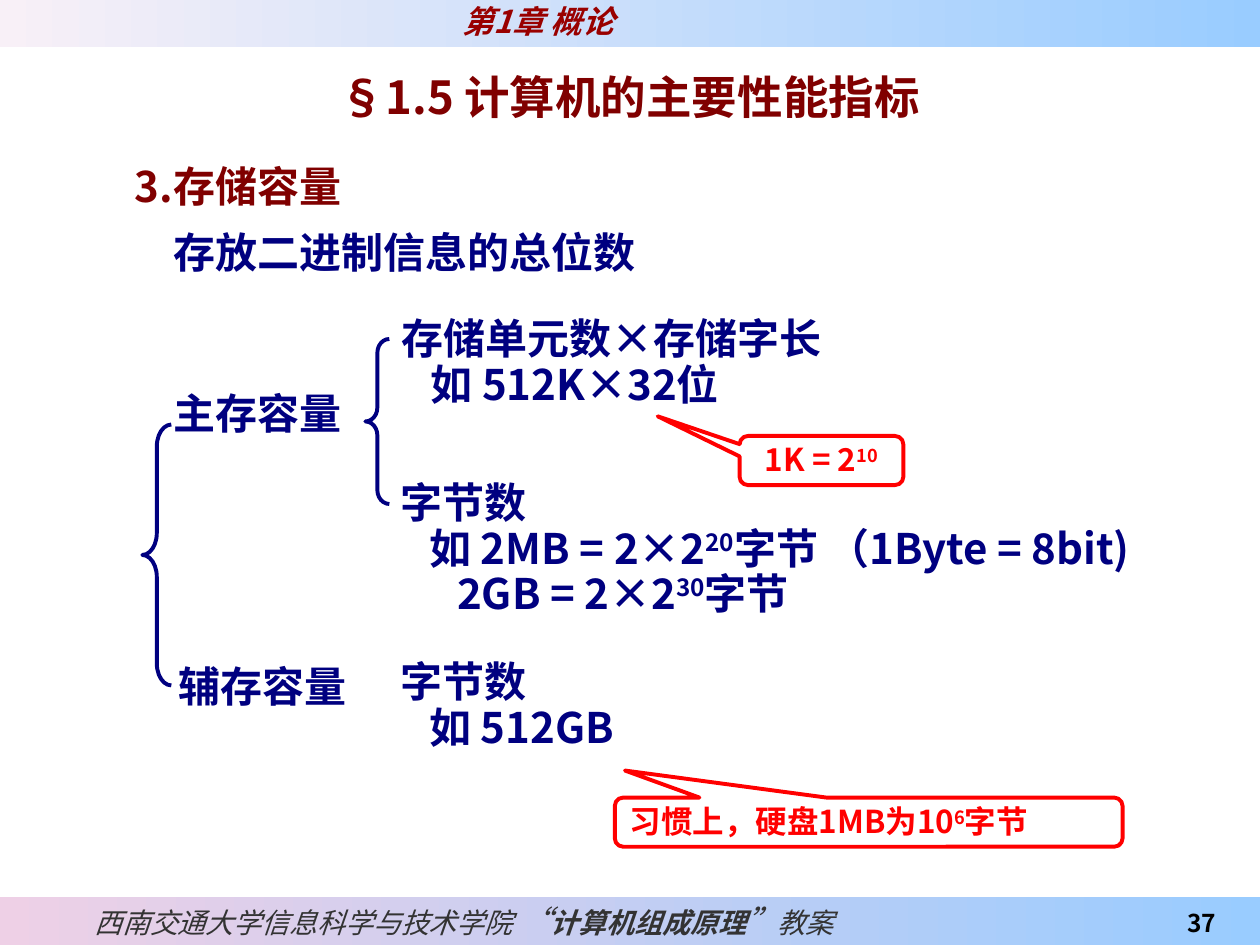
from dataclasses import dataclass

from lxml.etree import SubElement
from pptx import Presentation
from pptx.dml.color import RGBColor
from pptx.enum.shapes import MSO_SHAPE
from pptx.enum.text import MSO_ANCHOR, MSO_AUTO_SIZE, PP_ALIGN
from pptx.oxml.ns import qn
from pptx.util import Inches, Pt

COLORS = {
    "navy": "000080", "maroon": "800000", "crimson": "990000", "red": "FF0000",
    "grey": "333333", "black": "000000",
    "sky": "99CCFF", "blush": "F8F0F7", "pink": "EED0E6",
}
FONT = "Noto Sans CJK SC"
COLUMNS, ROWS = 100, 75
CELL = Inches(0.1)


@dataclass(frozen=True)
class Area:
    column: float
    row: float
    columns: float
    rows: float

    def box(self) -> tuple[int, ...]:
        return tuple(round(n * CELL) for n in (self.column, self.row, self.columns, self.rows))


@dataclass(frozen=True)
class Span:
    text: str
    raised: bool = False
    bold: bool | None = None
    size: int | None = None


@dataclass(frozen=True)
class Line:
    spans: tuple[Span, ...]
    color: str = "navy"
    size: int = 24
    indent: float = 0
    before: int = 0
    bold: bool = True
    italic: bool = False
    align: PP_ALIGN = PP_ALIGN.LEFT
    spacing: float = 0.9


@dataclass(frozen=True)
class Note:
    area: Area
    lines: tuple[Line, ...]


@dataclass(frozen=True)
class Callout:
    area: Area
    pointer: tuple[float, float, float]
    line: Line


@dataclass(frozen=True)
class Brace:
    area: Area
    curve: float


@dataclass(frozen=True)
class Band:
    area: Area
    start: str
    end: str
    line: Line
    anchor: MSO_ANCHOR


def plain(text: str, **style) -> Line:
    return Line((Span(text),), **style)


def power(base: str, exponent: str, rest: str = "", **style) -> Line:
    tail = (Span(rest),) if rest else ()
    return Line((Span(base), Span(exponent, raised=True)) + tail, **style)


EXAMPLE, DEEP = 2.3, 4.5

BANDS = (
    Band(Area(0, 71.2, COLUMNS, 3.8), "pink", "sky",
         Line((Span("西南交通大学信息科学与技术学院 "), Span("“", size=18),
               Span("计算机组成原理", bold=True), Span("”", size=18), Span("教案")),
              color="grey", size=16, indent=6.5, bold=False, italic=True, spacing=1),
         MSO_ANCHOR.MIDDLE),
    Band(Area(0, 0, COLUMNS, 3.7), "blush", "sky",
         plain("第1章 概论", color="crimson", size=18, indent=35.7, italic=True),
         MSO_ANCHOR.TOP),
)
NOTES = (
    Note(Area(9.7, 12.7, 78.2, 10.3), (
        plain("3.存储容量", color="maroon"),
        plain("存放二进制信息的总位数", indent=3.1, before=12))),
    Note(Area(12.8, 30.7, 15.9, 4.6), (plain("主存容量"),)),
    Note(Area(30.9, 24.8, 43, 8.3), (
        plain("存储单元数×存储字长"),
        plain("如 512K×32位", indent=EXAMPLE))),
    Note(Area(30.8, 37.8, 65.9, 11.9), (
        plain("字节数"),
        power("如 2MB = 2×2", "20", "字节 （1Byte = 8bit)", indent=EXAMPLE),
        power("2GB = 2×2", "30", "字节", indent=DEEP))),
    Note(Area(13.2, 52.4, 15.9, 4.6), (plain("辅存容量"),)),
    Note(Area(30.8, 52, 43, 11.9), (
        plain("字节数"),
        plain("如 512GB", indent=EXAMPLE))),
)
CALLOUTS = (
    Callout(Area(58.7, 34.6, 13, 3.9), (-1, -0.9, 0.17),
            power("1K = 2", "10", color="red", size=18, align=PP_ALIGN.CENTER)),
    Callout(Area(48.8, 63.3, 40.3, 3.9), (-0.48, -1.05, 0.17),
            power("习惯上，硬盘1MB为10", "6", "字节", color="red", size=18)),
)
BRACES = (
    Brace(Area(29, 26.9, 1.9, 13.1), 0.58),
    Brace(Area(11.3, 33.7, 2.3, 20.7), 0.76),
)
TITLE = Note(Area(0, 5, COLUMNS, 4.8), (
    plain("§1.5 计算机的主要性能指标", color="maroon", size=26,
          align=PP_ALIGN.CENTER, spacing=1),))
PAGE = Note(Area(86.7, 71.1, 10.8, 3.8), (
    plain("37", color="black", size=14, align=PP_ALIGN.RIGHT, spacing=1),))


def rgb(name: str) -> RGBColor:
    return RGBColor.from_string(COLORS[name])


def write(frame, lines: tuple[Line, ...], anchor=MSO_ANCHOR.TOP, top=0.05, bottom=0.05) -> None:
    frame.word_wrap = True
    frame.auto_size = MSO_AUTO_SIZE.NONE
    frame.vertical_anchor = anchor
    frame.margin_left = frame.margin_right = Inches(0.1)
    frame.margin_top, frame.margin_bottom = Inches(top), Inches(bottom)
    for index, line in enumerate(lines):
        paragraph = frame.add_paragraph() if index else frame.paragraphs[0]
        paragraph.alignment = line.align
        paragraph.line_spacing = line.spacing
        paragraph.space_before = Pt(line.before)
        properties = paragraph._p.get_or_add_pPr()
        properties.set("marL", str(round(line.indent * CELL)))
        properties.set("indent", "0")
        font = paragraph.font
        font.name, font.size = FONT, Pt(line.size)
        font.bold, font.italic = line.bold, line.italic
        font.color.rgb = rgb(line.color)
        SubElement(properties.find(qn("a:defRPr")), qn("a:ea"), typeface=FONT)
        for span in line.spans:
            run = paragraph.add_run()
            run.text = span.text
            if span.bold is not None:
                run.font.bold = span.bold
            if span.size:
                run.font.size = Pt(span.size)
            if span.raised:
                run._r.get_or_add_rPr().set("baseline", "30000")


def draw_note(slide, note: Note, **layout) -> None:
    write(slide.shapes.add_textbox(*note.area.box()).text_frame, note.lines, **layout)


def draw_band(slide, band: Band) -> None:
    strip = slide.shapes.add_shape(MSO_SHAPE.RECTANGLE, *band.area.box())
    strip.shadow.inherit = False
    strip.line.fill.background()
    strip.fill.gradient()
    strip.fill.gradient_angle = 0
    for stop, color in zip(strip.fill.gradient_stops, (band.start, band.end)):
        stop.color.rgb = rgb(color)
    write(strip.text_frame, (band.line,), band.anchor)


def draw_outline(slide, kind: MSO_SHAPE, area: Area, color: str, adjustments: tuple[float, ...]):
    outline = slide.shapes.add_shape(kind, *area.box())
    outline.shadow.inherit = False
    outline.fill.background()
    outline.line.color.rgb = rgb(color)
    outline.line.width = Pt(2.25)
    for index, value in enumerate(adjustments):
        outline.adjustments[index] = value
    return outline


def main() -> None:
    deck = Presentation()
    deck.slide_width, deck.slide_height = COLUMNS * CELL, ROWS * CELL
    slide = deck.slides.add_slide(deck.slide_layouts[5])
    heading = slide.shapes.title
    heading.left, heading.top, heading.width, heading.height = TITLE.area.box()
    write(heading.text_frame, TITLE.lines, bottom=0)
    for band in BANDS:
        draw_band(slide, band)
    draw_note(slide, PAGE, anchor=MSO_ANCHOR.BOTTOM, top=0)
    for note in NOTES:
        draw_note(slide, note)
    for callout in CALLOUTS:
        bubble = draw_outline(slide, MSO_SHAPE.ROUNDED_RECTANGULAR_CALLOUT,
                              callout.area, "red", callout.pointer)
        write(bubble.text_frame, (callout.line,))
    for brace in BRACES:
        draw_outline(slide, MSO_SHAPE.LEFT_BRACE, brace.area, "navy", (brace.curve, 0.5))
    deck.save("out.pptx")


if __name__ == "__main__":
    main()
